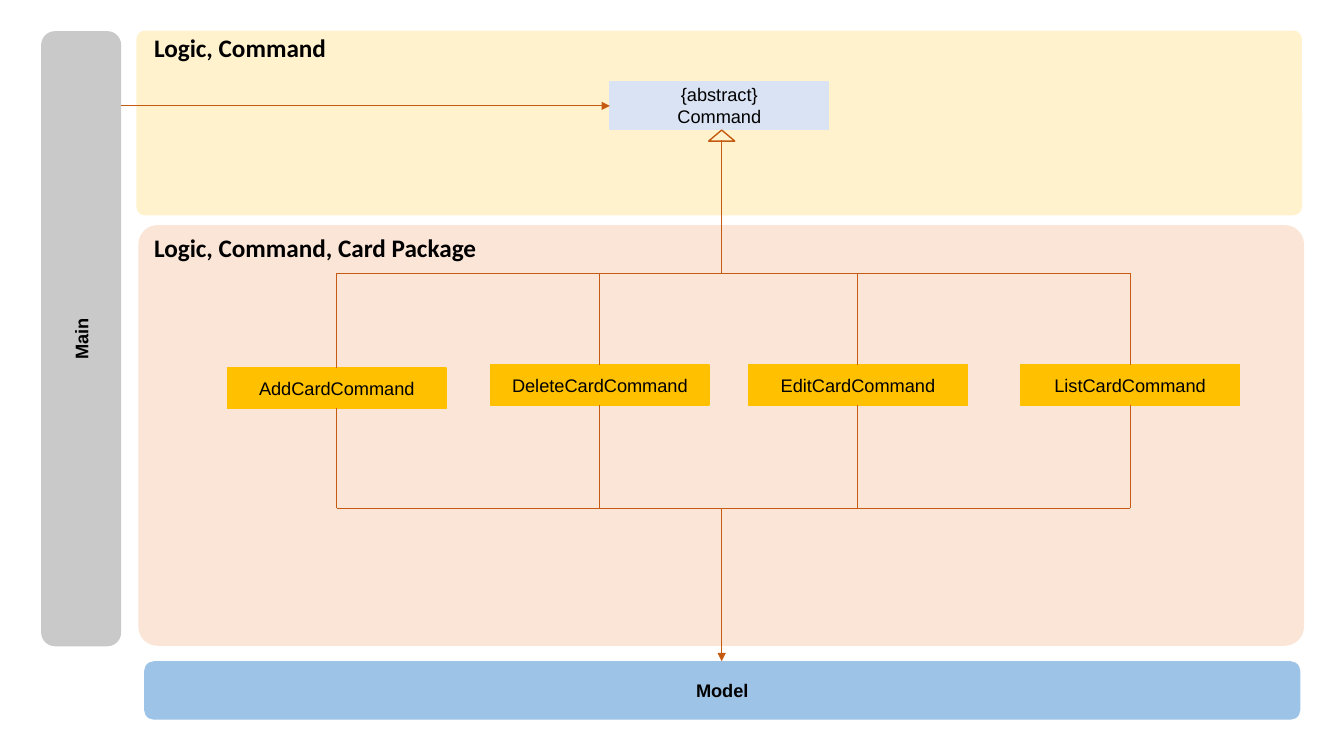
import pptx
import pptx.util
import pptx.dml.color
import pptx.enum.shapes
import pptx.enum.text
import pptx.oxml
import pptx.oxml.ns

RGB = pptx.dml.color.RGBColor
SHAPE = pptx.enum.shapes.MSO_SHAPE
ALIGN = pptx.enum.text.PP_ALIGN
ANCHOR = pptx.enum.text.MSO_ANCHOR

BLACK = RGB(0x00, 0x00, 0x00)
PEACH = RGB(0xFB, 0xE5, 0xD6)
CREAM = RGB(0xFF, 0xF2, 0xCC)
PALE_BLUE = RGB(0xDA, 0xE3, 0xF3)
GOLD = RGB(0xFF, 0xC0, 0x00)
BLUE = RGB(0x9D, 0xC3, 0xE6)
GREY = RGB(0xC9, 0xC9, 0xC9)
RUST = RGB(0xC5, 0x5A, 0x11)

COLUMNS, ROWS = 133.33, 75


class Diagram:
    """Draws on one slide; every length is in grid columns and rows."""

    body_font, body_size = "Arial", 13
    label_font, label_size = "Calibri", 18
    outline_width, link_width = 1, 0.5

    def __init__(self, prs):
        self.slide = prs.slides.add_slide(prs.slide_layouts[6])
        self.column = prs.slide_width / COLUMNS
        self.row = prs.slide_height / ROWS

    def grid(self, x, y):
        return round(x * self.column), round(y * self.row)

    def add_text(self, p, text, font, size, bold):
        r = p.add_run()
        r.text = text
        r.font.name = font
        r.font.size = pptx.util.Pt(size)
        r.font.bold = bold
        r.font.color.rgb = BLACK

    def shape(self, kind, x, y, w, h, fill=None, line=None):
        sp = self.slide.shapes.add_shape(kind, *self.grid(x, y), *self.grid(w, h))
        sp.shadow.inherit = False
        if fill is None:
            sp.fill.background()
        else:
            sp.fill.solid()
            sp.fill.fore_color.rgb = fill
        if line is None:
            sp.line.fill.background()
        else:
            sp.line.color.rgb = line
            sp.line.width = pptx.util.Pt(self.outline_width)
        return sp

    def box(self, x, y, w, h, fill, line=None, lines=(), corner=None, bold=False):
        """Rounded box with one centred paragraph for each of lines."""
        sp = self.shape(SHAPE.ROUNDED_RECTANGLE, x, y, w, h, fill, line)
        if corner is not None:
            sp.adjustments[0] = corner
        tf = sp.text_frame
        tf.word_wrap = True
        tf.vertical_anchor = ANCHOR.MIDDLE
        for i, text in enumerate(lines):
            p = tf.add_paragraph() if i else tf.paragraphs[0]
            p.alignment = ALIGN.CENTER
            self.add_text(p, text, self.body_font, self.body_size, bold)
        return sp

    def label(self, x, y, w, h, text):
        sp = self.slide.shapes.add_textbox(*self.grid(x, y), *self.grid(w, h))
        tf = sp.text_frame
        tf.word_wrap = False
        tf.auto_size = pptx.enum.text.MSO_AUTO_SIZE.SHAPE_TO_FIT_TEXT
        self.add_text(tf.paragraphs[0], text, self.label_font, self.label_size, True)

    def link(self, x1, y1, x2, y2, arrow=False):
        cxn = self.slide.shapes.add_connector(
            pptx.enum.shapes.MSO_CONNECTOR.STRAIGHT,
            *self.grid(x1, y1), *self.grid(x2, y2))
        cxn.line.color.rgb = RUST
        cxn.line.width = pptx.util.Pt(self.link_width)
        spPr = cxn._element.spPr
        if arrow:
            ns = pptx.oxml.ns.nsdecls("a")
            spPr.find(pptx.oxml.ns.qn("a:ln")).append(
                pptx.oxml.parse_xml(f'<a:tailEnd {ns} type="triangle"/>'))
        spPr.append(spPr.makeelement(pptx.oxml.ns.qn("a:effectLst"), {}))


def main():
    prs = pptx.Presentation()
    prs.slide_width = pptx.util.Inches(13.33)
    prs.slide_height = pptx.util.Inches(7.5)
    d = Diagram(prs)

    # Packages and neighbouring components
    package_corner = 0.044
    d.box(13.8, 22.4, 115.5, 41.6, PEACH, PEACH, corner=package_corner)
    d.box(13.6, 3.1, 115.5, 18.2, CREAM, CREAM, corner=package_corner)
    d.label(14.3, 2.7, 19.3, 4, "Logic, Command")
    d.label(14.3, 22.6, 34.3, 4, "Logic, Command, Card Package")
    d.box(14.3, 65.6, 114.7, 5.8, BLUE, lines=["Model"], bold=True)
    main_bar = d.box(-22.4, 29.7, 60.9, 7.8, GREY, GREY, ["Main"], bold=True)
    main_bar.rotation = 270

    # Abstract command and its inheritance arrow
    class_w, card_h = 21.7, 4
    trunk_x, upper_bus, lower_bus = 71.6, 27.1, 50.4
    d.box(60.5, 8.1, class_w, 4.7, PALE_BLUE, PALE_BLUE,
          ["{abstract}", "Command"], corner=0)
    d.shape(SHAPE.ISOSCELES_TRIANGLE, 70.3, 12.9, 2.6, 1.1, line=RUST)
    d.link(trunk_x, upper_bus, trunk_x, 13.9)

    # Card commands, each joined to both buses
    cards = [("AddCardCommand", 33.4, 36.5), ("DeleteCardCommand", 59.5, 36.2),
             ("EditCardCommand", 85.1, 36.2), ("ListCardCommand", 112.1, 36.2)]
    for name, center, top in cards:
        d.box(center - class_w / 2, top, class_w, card_h, GOLD, GOLD, [name], corner=0)
        d.link(center, top, center, upper_bus)
        d.link(center, top + card_h, center, lower_bus)
    for bus in (upper_bus, lower_bus):
        d.link(cards[0][1], bus, cards[-1][1], bus)

    d.link(trunk_x, lower_bus, trunk_x, 65.6, arrow=True)
    d.link(12, 10.5, 60.5, 10.5, arrow=True)

    prs.save("out.pptx")


if __name__ == "__main__":
    main()
